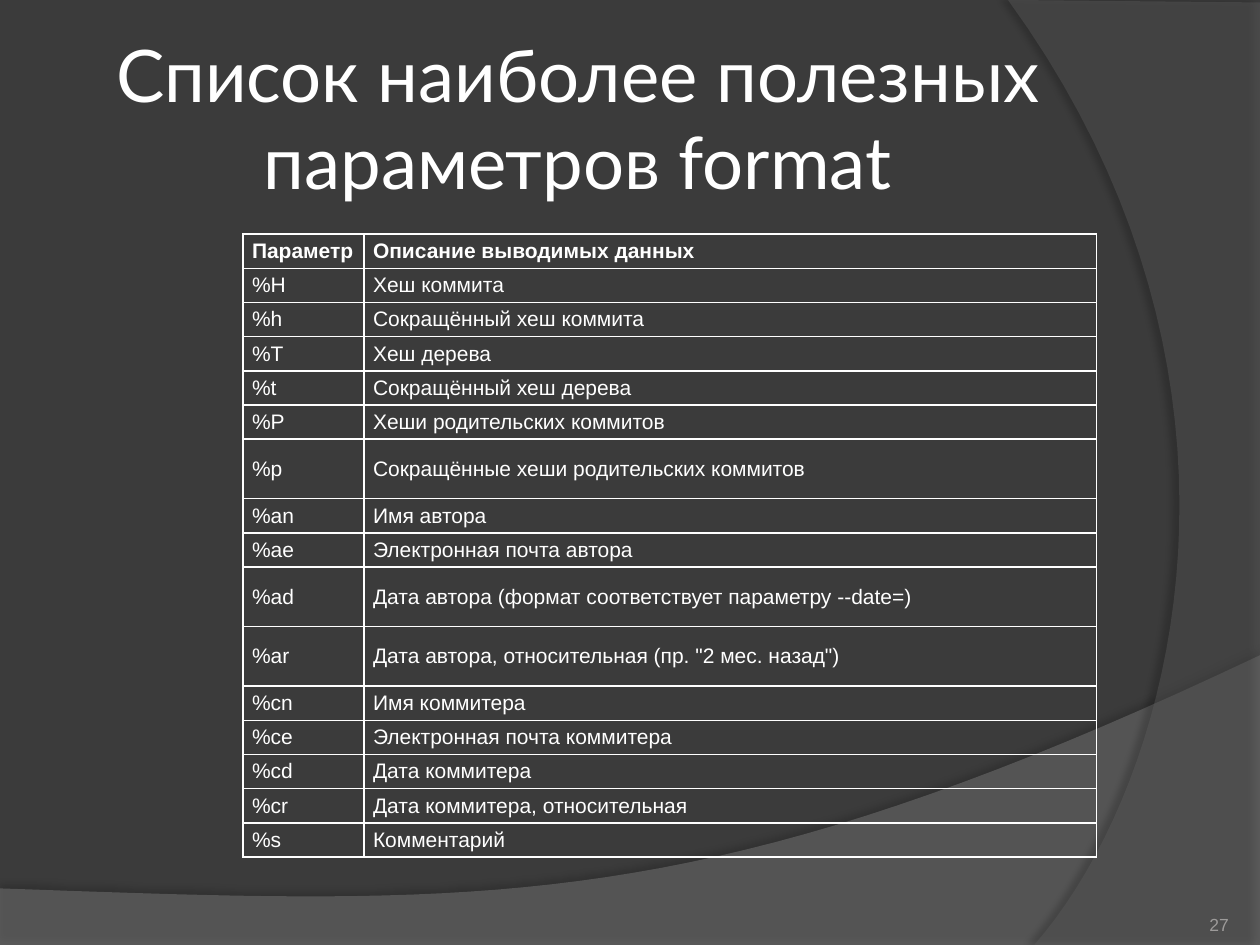
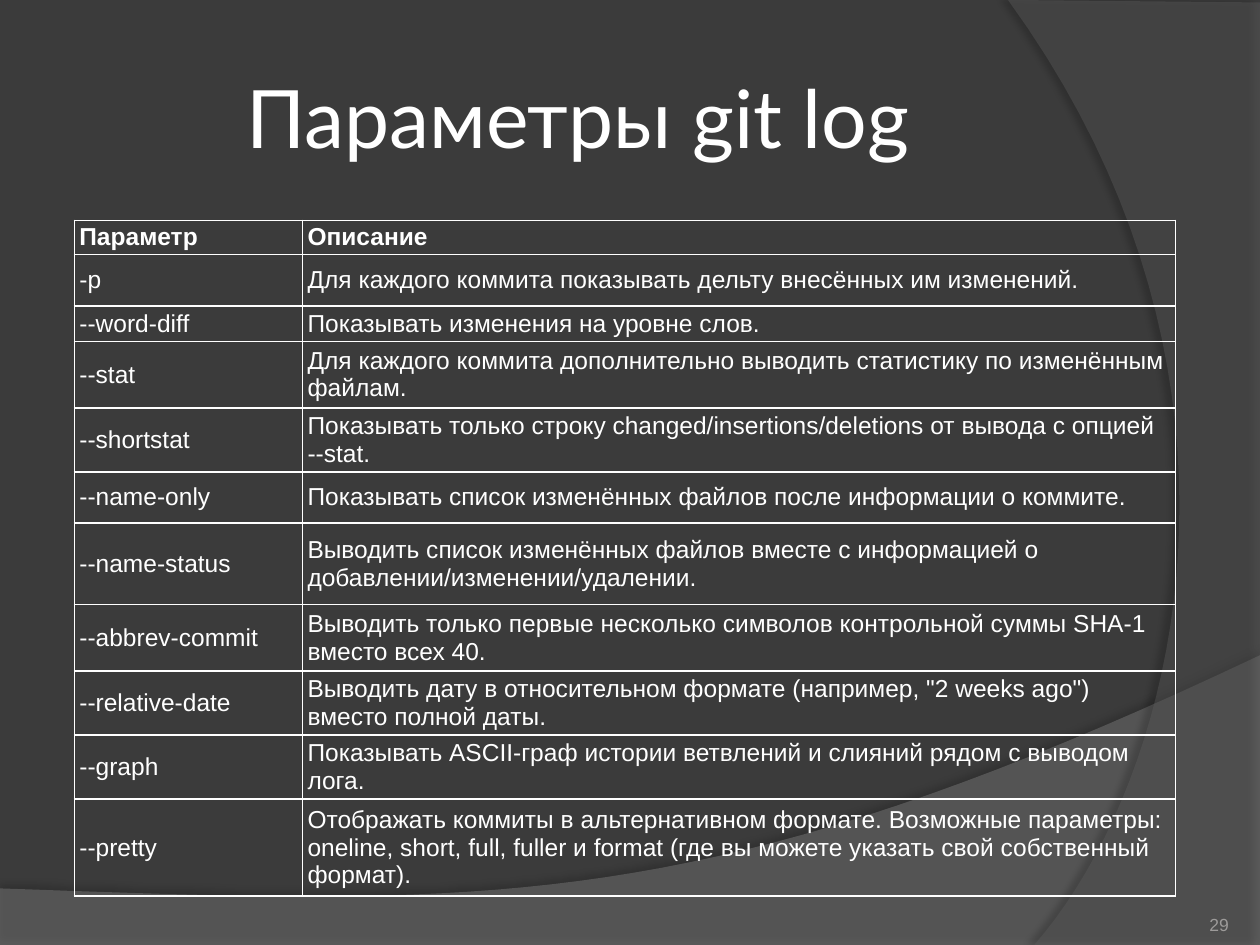
"""Build two slides on git log options: format placeholders and command parameters."""
from lxml.etree import SubElement
from pptx import Presentation
from pptx.dml.color import RGBColor
from pptx.enum.text import MSO_ANCHOR as Anchor, MSO_AUTO_SIZE as AutoSize, PP_ALIGN as Align
from pptx.oxml import parse_xml
from pptx.oxml.ns import nsdecls, qn
from pptx.util import Cm, Pt

WIDTH, HEIGHT = 25.4, 19.05
BACKGROUND, WHITE, PAGE_GRAY = "3B3B3B", "FFFFFF", "9D9B9A"
FLOOR_GRAY, SIDE_GRAY = "7F7F7F", "5E5E5E"
TITLE_FONT, BODY_FONT = "Lato", "Arial"
CURVE_STEPS = 40
LOW, HIGH = 0.69, 1.2

FORMAT_ROWS = [
    (LOW, "Параметр", "Описание выводимых данных"),
    (LOW, "%H", "Хеш коммита"),
    (LOW, "%h", "Сокращённый хеш коммита"),
    (LOW, "%T", "Хеш дерева"),
    (LOW, "%t", "Сокращённый хеш дерева"),
    (LOW, "%P", "Хеши родительских коммитов"),
    (HIGH, "%p", "Сокращённые хеши родительских коммитов"),
    (LOW, "%an", "Имя автора"),
    (LOW, "%ae", "Электронная почта автора"),
    (HIGH, "%ad", "Дата автора (формат соответствует параметру --date=)"),
    (HIGH, "%ar", 'Дата автора, относительная (пр. "2 мес. назад")'),
    (LOW, "%cn", "Имя коммитера"),
    (LOW, "%ce", "Электронная почта коммитера"),
    (LOW, "%cd", "Дата коммитера"),
    (LOW, "%cr", "Дата коммитера, относительная"),
    (LOW, "%s", "Комментарий"),
]
LOG_ROWS = [
    (0.65, "Параметр", "Описание"),
    (1.03, "-p", "Для каждого коммита показывать дельту внесённых им изменений."),
    (0.72, "--word-diff", "Показывать изменения на уровне слов."),
    (1.34, "--stat", "Для каждого коммита дополнительно выводить статистику "
                     "по изменённым файлам."),
    (1.2, "--shortstat", "Показывать только строку changed/insertions/deletions "
                         "от вывода с опцией --stat."),
    (1.03, "--name-only", "Показывать список изменённых файлов после информации о коммите."),
    (1.65, "--name-status", "Выводить список изменённых файлов вместе с информацией "
                            "о добавлении/изменении/удалении."),
    (1.34, "--abbrev-commit", "Выводить только первые несколько символов контрольной суммы "
                              "SHA-1 вместо всех 40."),
    (1.2, "--relative-date", "Выводить дату в относительном формате "
                             '(например, "2 weeks ago") вместо полной даты.'),
    (1.2, "--graph", "Показывать ASCII-граф истории ветвлений и слияний "
                     "рядом с выводом лога."),
    (1.96, "--pretty", "Отображать коммиты в альтернативном формате. Возможные параметры: "
                       "oneline, short, full, fuller и format (где вы можете указать "
                       "свой собственный формат)."),
]


def color(hex_code):
    return RGBColor.from_string(hex_code)


def style_text(frame, font, size, hex_code, align=Align.LEFT, bold=False):
    for paragraph in frame.paragraphs:
        paragraph.alignment = align
        for run in paragraph.runs:
            run.font.name = font
            run.font.size = Pt(size)
            run.font.bold = bold
            run.font.color.rgb = color(hex_code)


def set_margins(box, side, end):
    box.margin_left = box.margin_right = Cm(side)
    box.margin_top = box.margin_bottom = Cm(end)


def bezier(start, pull, push, finish):
    points = []
    for step in range(1, CURVE_STEPS + 1):
        t = step / CURVE_STEPS
        weights = ((1 - t) ** 3, 3 * t * (1 - t) ** 2, 3 * t * t * (1 - t), t ** 3)
        corners = (start, pull, push, finish)
        points.append(tuple(sum(w * c[axis] for w, c in zip(weights, corners))
                            for axis in (0, 1)))
    return points


def add_wave(slide, outline, hex_code, opacity, shadow_opacity, distance, angle):
    points = [(Cm(x), Cm(y)) for x, y in outline]
    builder = slide.shapes.build_freeform(*points[0])
    builder.add_line_segments(points[1:], close=True)
    wave = builder.convert_to_shape()
    wave.fill.solid()
    wave.fill.fore_color.rgb = color(hex_code)
    wave.line.fill.background()
    tint = wave.element.spPr.find(".//" + qn("a:srgbClr"))
    SubElement(tint, qn("a:alpha"), val=str(opacity * 1000))
    wave.element.spPr.append(parse_xml(
        f'<a:effectLst {nsdecls("a")}><a:outerShdw blurRad="{Pt(4)}" dist="{Pt(distance)}" '
        f'dir="{angle * 60000}" algn="ctr" rotWithShape="0"><a:srgbClr val="000000">'
        f'<a:alpha val="{shadow_opacity * 1000}"/></a:srgbClr></a:outerShdw></a:effectLst>'))
    return wave


def decorate_master(master, slide):
    master.background.fill.solid()
    master.background.fill.fore_color.rgb = color(BACKGROUND)
    floor = [(0, 17.91), (0, HEIGHT), (WIDTH, HEIGHT), (WIDTH, 13.21)]
    floor += bezier(floor[-1], (14.2, 18.52), (9.93, 18.26), floor[0])
    side = [(WIDTH, 0.05), (WIDTH, HEIGHT), (20.85, HEIGHT)]
    side += bezier(side[-1], (23.75, 15.72), (25.86, 7.62), (20.32, 0))
    waves = [add_wave(slide, floor, FLOOR_GRAY, 45, 35, 3.5, 270),
             add_wave(slide, side, SIDE_GRAY, 40, 45, 4, 180)]
    first_placeholder = master.shapes[0].element
    for number, wave in enumerate(waves, start=101):
        wave.element.nvSpPr.cNvPr.set("id", str(number))
        first_placeholder.addprevious(wave.element)


def set_title(slide, text, size):
    title = slide.shapes.title
    title.left, title.top, title.width, title.height = Cm(1.27), Cm(0.76), Cm(20.75), Cm(3.18)
    frame = title.text_frame
    frame.text = text
    frame.word_wrap = True
    frame.auto_size = AutoSize.NONE
    frame.vertical_anchor = Anchor.MIDDLE
    set_margins(frame, 0.13, 0.13)
    style_text(frame, TITLE_FONT, size, WHITE, Align.CENTER)


def add_page_number(slide, number):
    frame = slide.shapes.add_textbox(Cm(22.66), Cm(17.83), Cm(2.11), Cm(1.02)).text_frame
    frame.text = str(number)
    frame.word_wrap = True
    frame.vertical_anchor = Anchor.BOTTOM
    set_margins(frame, 0, 0)
    style_text(frame, BODY_FONT, 10, PAGE_GRAY, Align.RIGHT)


def outline_cells(table_frame):
    for properties in table_frame.element.iter(qn("a:tcPr")):
        for place, edge in enumerate(("lnL", "lnR", "lnT", "lnB")):
            properties.insert(place, parse_xml(
                f'<a:{edge} {nsdecls("a")} w="{Pt(1)}"><a:solidFill>'
                f'<a:srgbClr val="{WHITE}"/></a:solidFill></a:{edge}>'))


def add_option_table(slide, rows, left, top, columns, size, margins):
    total_height = sum(height for height, *_ in rows)
    table_frame = slide.shapes.add_table(len(rows), len(columns), Cm(left), Cm(top),
                                         Cm(sum(columns)), Cm(total_height))
    table = table_frame.table
    table.first_row = table.horz_banding = False
    for column, width in zip(table.columns, columns):
        column.width = Cm(width)
    for index, (height, *texts) in enumerate(rows):
        table.rows[index].height = Cm(height)
        for cell, text in zip(table.rows[index].cells, texts):
            cell.text_frame.text = text
            cell.fill.background()
            cell.vertical_anchor = Anchor.MIDDLE
            set_margins(cell, *margins)
            style_text(cell.text_frame, BODY_FONT, size, WHITE, bold=index == 0)
    outline_cells(table_frame)


def add_slide(deck, title, title_size, page):
    slide = deck.slides.add_slide(deck.slide_layouts.get_by_name("Title Only"))
    set_title(slide, title, title_size)
    add_page_number(slide, page)
    return slide


def main():
    deck = Presentation()
    deck.slide_width, deck.slide_height = Cm(WIDTH), Cm(HEIGHT)
    formats = add_slide(deck, "Список наиболее полезных параметров format", 41.4, 27)
    decorate_master(deck.slide_master, formats)
    add_option_table(formats, FORMAT_ROWS, 4.9, 4.72, (2.44, 14.76), 12, (0.18, 0.08))
    log_options = add_slide(deck, "Параметры git log", 46, 29)
    add_option_table(log_options, LOG_ROWS, 1.5, 4.44, (4.6, 17.6), 14, (0.1, 0.05))
    deck.save("out.pptx")


if __name__ == "__main__":
    main()
